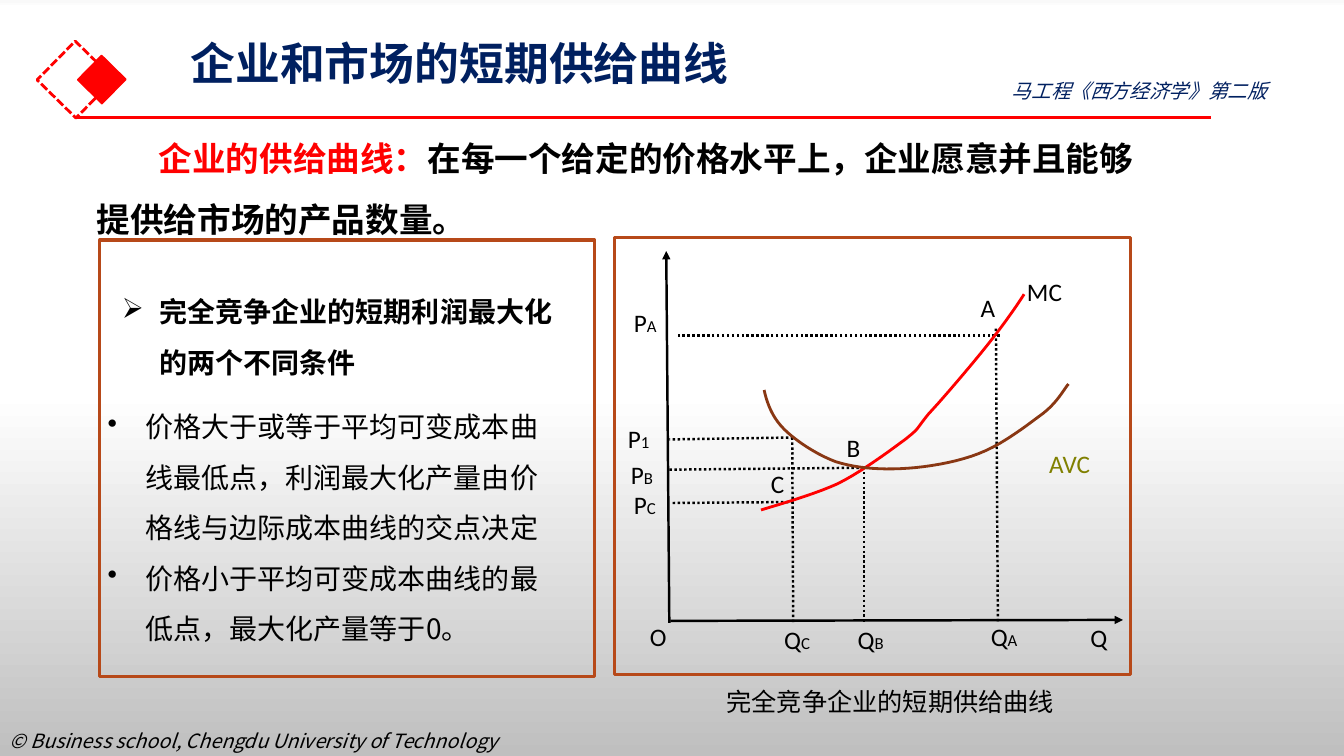
from typing import NamedTuple, Optional

import pptx
import pptx.dml.color
import pptx.enum.dml
import pptx.enum.shapes
import pptx.enum.text
import pptx.oxml.ns
import pptx.util
from lxml import etree

Pt = pptx.util.Pt
RGBColor = pptx.dml.color.RGBColor
ANCHOR = pptx.enum.text.MSO_ANCHOR
DASH = pptx.enum.dml.MSO_LINE
qn = pptx.oxml.ns.qn

RED = RGBColor(0xFF, 0x00, 0x00)
BLACK = RGBColor(0x00, 0x00, 0x00)
NAVY = RGBColor(0x00, 0x20, 0x60)
OLIVE = RGBColor(0x80, 0x80, 0x00)
BROWN = RGBColor(0x89, 0x37, 0x13)
RUST = RGBColor(0xB7, 0x49, 0x19)
BACKGROUND_STOPS = {0: "F9F9F9", 1: "FFFFFF", 52: "FFFFFF", 100: "BFBFBF"}
CJK_FONT = "Noto Sans CJK SC"
LATIN_FONT = "Calibri"

Point = tuple[float, float]


class Box(NamedTuple):
    left: float
    top: float
    width: float
    height: float


class Label(NamedTuple):
    text: str
    subscript: str
    box: Box
    color: RGBColor = BLACK


class Segment(NamedTuple):
    start: Point
    end: Point
    color: RGBColor = BLACK
    width: float = 1.75
    dash: Optional[DASH] = None
    arrow: bool = False


class Curve(NamedTuple):
    color: RGBColor
    start: Point
    beziers: list[tuple[Point, Point, Point]]


class Square(NamedTuple):
    box: Box
    color: RGBColor
    width: float
    rotation: float = 0
    dash: Optional[DASH] = None
    filled: bool = False


LOGO_AND_PANELS = [
    Square(Box(34.6, 37.4, 38.9, 38.9), RED, 2, 314.5, DASH.SQUARE_DOT),
    Square(Box(60.5, 44.6, 24.5, 24.5), RED, 1, 314.5, filled=True),
    Square(Box(71.3, 171.4, 353.5, 311.8), RUST, 2.25),
    Square(Box(439.2, 169.9, 368.6, 311.8), RUST, 2.25),
]
HEADER_RULE = Segment((54, 84.2), (864.7, 84.2), RED, 2.25)
AXES = [
    Segment((478.1, 445), (475.9, 179.3), arrow=True),
    Segment((478.8, 443.5), (802.1, 442.8), arrow=True),
]
GUIDES = [Segment(start, end, dash=DASH.ROUND_DOT) for start, end in [
    ((711.4, 234.7), (712.8, 445)),
    ((714.2, 239.8), (482.4, 239.8)),
    ((617, 337), (617, 444.2)),
    ((617, 334.1), (478.1, 335.5)),
    ((565.9, 312.5), (566.6, 445)),
    ((566.6, 312.5), (478.1, 313.9)),
    ((566.6, 358.6), (479.5, 359.3)),
]]
CURVES = [
    Curve(RED, (543.6, 364.3), [
        ((553, 361.4), (581, 353.5), (598.3, 345.6)),
        ((615.6, 337), (635.8, 321.8), (646.6, 313.9)),
        ((657.4, 305.3), (653.8, 307.4), (663.1, 295.9)),
        ((673.2, 285.1), (693.4, 261.4), (704.9, 247)),
        ((716.4, 232.6), (726.5, 218.2), (731.5, 210.2)),
    ]),
    Curve(BROWN, (545.8, 278.6), [
        ((547.9, 288), (551.5, 298.1), (560.2, 306.7)),
        ((568.1, 314.6), (583.2, 324.7), (596.9, 329.8)),
        ((610.6, 334.1), (625.7, 335.5), (643, 334.8)),
        ((660.2, 334.1), (682.6, 330.5), (699.1, 324)),
        ((716.4, 317.5), (734.4, 303.1), (745.2, 295.2)),
        ((755.3, 287.3), (759.6, 278.6), (763.2, 274.3)),
    ]),
]
LABELS = [
    Label("P", "A", Box(445.7, 211.7, 41.8, 36.7)),
    Label("P", "1", Box(441.4, 294.5, 41.8, 36.7)),
    Label("P", "B", Box(443.5, 320.4, 41.8, 36.7)),
    Label("P", "C", Box(445.7, 342, 41.8, 36.7)),
    Label("Q", "C", Box(553, 442.1, 45.4, 29.5)),
    Label("Q", "B", Box(605.5, 442.1, 37.4, 29.5)),
    Label("Q", "A", Box(700.6, 439.9, 37.4, 29.5)),
    Label("Q", "", Box(771.8, 444.2, 20.2, 22.3)),
    Label("O", "", Box(457.2, 442.8, 41.8, 23.8)),
    Label("A", "", Box(693.4, 205.2, 40.3, 28.8)),
    Label("B", "", Box(597.6, 305.3, 43.2, 28.8)),
    Label("C", "", Box(543.6, 330.5, 42.5, 29.5)),
    Label("MC", "", Box(726.5, 190.1, 41.8, 36.7)),
    Label("AVC", "", Box(742.3, 310.3, 66.2, 41.8), OLIVE),
]


def points(values) -> list:
    return [Pt(value) for value in values]


def set_font(font, size: float, color: RGBColor, name: str = CJK_FONT,
             bold: bool = False, italic: bool = False) -> None:
    font.size, font.bold, font.italic = Pt(size), bold, italic
    font.color.rgb = color
    font.name = name
    etree.SubElement(font._element, qn("a:ea"), typeface=CJK_FONT)


def add_text(slide, box: Box, texts: list[str], size: float, color: RGBColor,
             bullet: str = "", wrap: bool = True, spacing: float = 1.0, **style):
    frame = slide.shapes.add_textbox(*points(box)).text_frame
    frame.word_wrap = wrap
    frame.text = "\n".join(texts)
    for paragraph in frame.paragraphs:
        paragraph.line_spacing = spacing
        if bullet:
            properties = paragraph._p.get_or_add_pPr()
            properties.set("marL", str(Pt(27)))
            properties.set("indent", str(-Pt(27)))
            etree.SubElement(properties, qn("a:buChar"), char=bullet)
        set_font(paragraph.font, size, color, **style)
    return frame


def add_label(slide, label: Label) -> None:
    frame = add_text(slide, label.box, [label.text], 18, label.color,
                     wrap=False, name=LATIN_FONT)
    frame.vertical_anchor = ANCHOR.MIDDLE
    if label.subscript:
        subscript = frame.paragraphs[0].add_run()
        subscript.text = label.subscript
        subscript.font.size = Pt(12)


def add_segment(slide, segment: Segment) -> None:
    line = slide.shapes.add_connector(pptx.enum.shapes.MSO_CONNECTOR.STRAIGHT,
                                      *points(segment.start + segment.end))
    line.line.color.rgb = segment.color
    line.line.width = Pt(segment.width)
    if segment.dash:
        line.line.dash_style = segment.dash
    if segment.arrow:
        etree.SubElement(line.get_or_add_ln(), qn("a:tailEnd"), type="triangle")
    etree.SubElement(line.element.spPr, qn("a:effectLst"))


def add_curve(slide, curve: Curve, steps: int = 10) -> None:
    vertices, start = [], curve.start
    for bezier in curve.beziers:
        for step in range(1, steps + 1):
            t = step / steps
            weights = ((1 - t) ** 3, 3 * t * (1 - t) ** 2, 3 * t * t * (1 - t), t ** 3)
            vertices.append(tuple(
                Pt(sum(w * p[axis] for w, p in zip(weights, (start, *bezier))))
                for axis in (0, 1)))
        start = bezier[-1]
    builder = slide.shapes.build_freeform(*points(curve.start))
    builder.add_line_segments(vertices, close=False)
    outline = builder.convert_to_shape()
    outline.shadow.inherit = False
    outline.fill.background()
    outline.line.color.rgb = curve.color
    outline.line.width = Pt(2)


def add_square(slide, square: Square) -> None:
    shape = slide.shapes.add_shape(pptx.enum.shapes.MSO_SHAPE.RECTANGLE, *points(square.box))
    shape.rotation = square.rotation
    shape.shadow.inherit = False
    if square.filled:
        shape.fill.solid()
        shape.fill.fore_color.rgb = square.color
    else:
        shape.fill.background()
    shape.line.color.rgb = square.color
    shape.line.width = Pt(square.width)
    if square.dash:
        shape.line.dash_style = square.dash


def paint_background(slide) -> None:
    slide.background.fill.gradient()
    gradient = slide.element.find(".//" + qn("a:gradFill"))
    stops = gradient.find(qn("a:gsLst"))
    for stop in list(stops):
        stops.remove(stop)
    for position, color in BACKGROUND_STOPS.items():
        stop = etree.SubElement(stops, qn("a:gs"), pos=str(position * 1000))
        etree.SubElement(stop, qn("a:srgbClr"), val=color)
    gradient.find(qn("a:lin")).set("ang", "5400000")


def add_title(slide) -> None:
    title = slide.shapes.title
    title.left, title.top, title.width, title.height = points((128.9, 29.5, 828, 68.4))
    frame = title.text_frame
    frame.text = "企业和市场的短期供给曲线"
    frame.auto_size = pptx.enum.text.MSO_AUTO_SIZE.NONE
    frame.vertical_anchor = ANCHOR.TOP
    frame.margin_top = 0
    heading = frame.paragraphs[0]
    heading.alignment = pptx.enum.text.PP_ALIGN.LEFT
    heading.line_spacing = 0.9
    set_font(heading.font, 32, NAVY, bold=True)


def add_definition(slide) -> None:
    frame = add_text(slide, Box(64.1, 81.4, 765.4, 82.8), ["企业的供给曲线："], 24, BLACK,
                     spacing=1.5, bold=True)
    frame.margin_left = frame.margin_right = Pt(5)
    frame.margin_top = frame.margin_bottom = Pt(3)
    definition = frame.paragraphs[0]
    definition._p.get_or_add_pPr().set("indent", str(Pt(44.3)))
    definition.runs[0].font.color.rgb = RED
    definition.add_run().text = "在每一个给定的价格水平上，企业愿意并且能够提供给市场的产品数量。"


def main() -> None:
    deck = pptx.Presentation()
    deck.slide_width, deck.slide_height = Pt(960), Pt(540)
    slide = deck.slides.add_slide(deck.slide_layouts[5])
    paint_background(slide)

    # Header, footer and panels
    add_title(slide)
    for square in LOGO_AND_PANELS:
        add_square(slide, square)
    add_text(slide, Box(715.7, 52.6, 233.3, 24.5), ["马工程《西方经济学》第二版"],
             14, NAVY, italic=True)
    add_text(slide, Box(0, 517, 382, 24.5),
             ["© Business school, Chengdu University of Technology"],
             14, BLACK, wrap=False, italic=True)

    # Definition and conditions
    add_definition(slide)
    add_text(slide, Box(79.9, 195.1, 335.5, 101.5),
             ["完全竞争企业的短期利润最大化的两个不同条件"],
             20, BLACK, bullet="➢", spacing=1.5, bold=True)
    add_text(slide, Box(69.8, 277.2, 337.7, 189.4),
             ["价格大于或等于平均可变成本曲线最低点，利润最大化产量由价格线与边际成本曲线的交点决定",
              "价格小于平均可变成本曲线的最低点，最大化产量等于0。"],
             20, BLACK, bullet="•", spacing=1.5)

    # Supply curve diagram
    for segment in [HEADER_RULE, *AXES, *GUIDES]:
        add_segment(slide, segment)
    for curve in CURVES:
        add_curve(slide, curve)
    for label in LABELS:
        add_label(slide, label)
    add_text(slide, Box(511.9, 486.7, 250.6, 28.8), ["完全竞争企业的短期供给曲线"],
             18, BLACK, wrap=False)
    deck.save("out.pptx")


if __name__ == "__main__":
    main()
